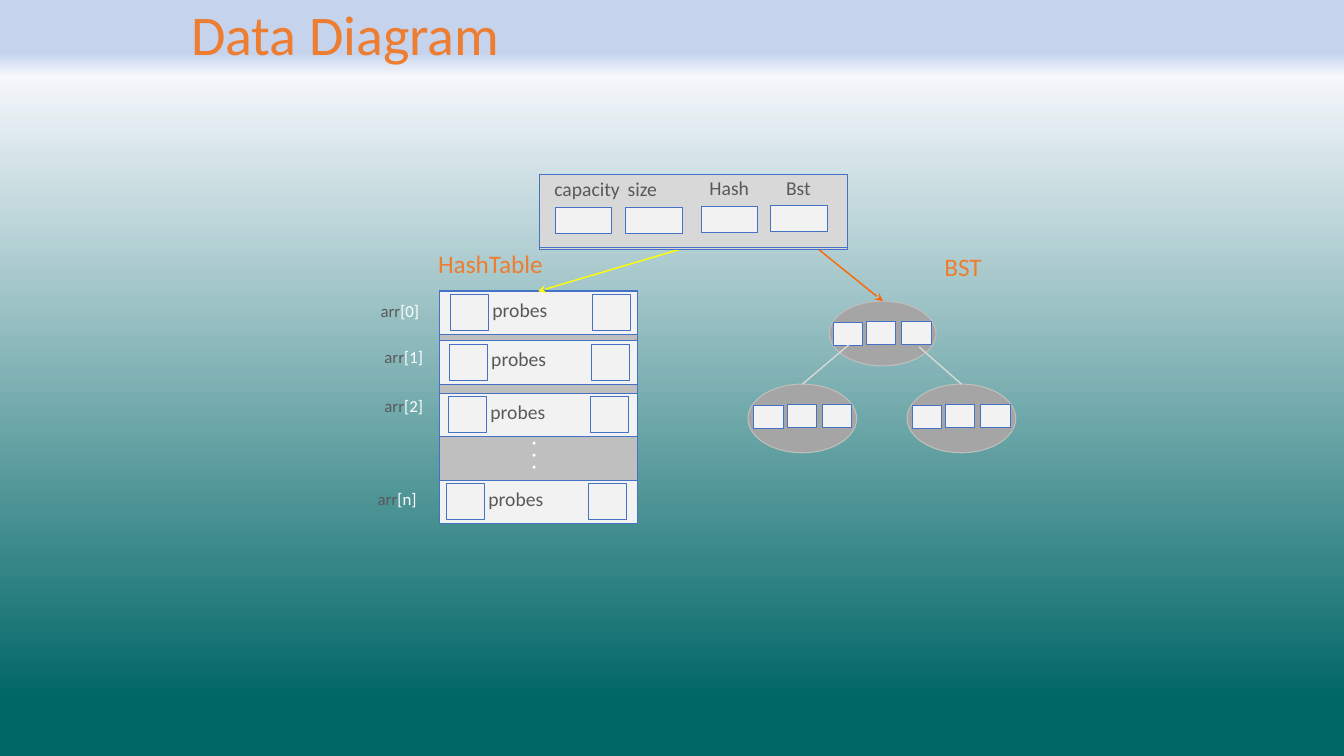
import pptx
import pptx.dml.color
import pptx.enum.shapes
import pptx.oxml
import pptx.oxml.ns
import pptx.util

Cm = pptx.util.Cm
qn = pptx.oxml.ns.qn
SHAPES = pptx.enum.shapes.MSO_SHAPE
DRAWING_NS = pptx.oxml.ns.nsdecls("a")

BLUE, ORANGE, WHITE = "4472C4", "ED7D31", "FFFFFF"
PALE, TEXT_GRAY, LIGHT_GRAY, MID_GRAY = "F2F2F2", "595959", "D8D8D8", "BFBFBF"
SHADOW = (
    f'<a:effectLst {DRAWING_NS}><a:outerShdw blurRad="38100" dist="38100" dir="2700000">'
    '<a:srgbClr val="000000"><a:alpha val="43000"/></a:srgbClr></a:outerShdw></a:effectLst>'
)


def color(hex_value):
    return pptx.dml.color.RGBColor.from_string(hex_value)


def apply_format(target, values):
    for name, value in values.items():
        setattr(target, name, value)


def add_box(slide, left, top, width, height, fill=PALE, line=BLUE, kind=SHAPES.RECTANGLE):
    shape = slide.shapes.add_shape(kind, Cm(left), Cm(top), Cm(width), Cm(height))
    shape.shadow.inherit = False
    shape.fill.solid()
    shape.fill.fore_color.rgb = color(fill)
    shape.line.color.rgb = color(line)
    shape.line.width = pptx.util.Pt(0.75)


def add_text(slide, left, top, width, height, size, *runs, shadow=False, rotation=0):
    """Each run is a pair of text and color."""
    shape = slide.shapes.add_textbox(Cm(left), Cm(top), Cm(width), Cm(height))
    shape.rotation = rotation
    apply_format(shape.text_frame, {
        "word_wrap": False,
        "margin_left": Cm(0.25), "margin_right": Cm(0.25),
        "margin_top": Cm(0.13), "margin_bottom": Cm(0.13),
    })
    paragraph = shape.text_frame.paragraphs[0]
    for text, text_color in runs:
        run = paragraph.add_run()
        run.text = text
        apply_format(run.font, {"name": "Calibri", "size": pptx.util.Pt(size)})
        run.font.color.rgb = color(text_color)
        if shadow:
            fill = run.font._element.find(qn("a:solidFill"))
            fill.addnext(pptx.oxml.parse_xml(SHADOW))


def add_line(slide, start, end, line_color, arrow=False):
    connector = slide.shapes.add_connector(
        pptx.enum.shapes.MSO_CONNECTOR.STRAIGHT, *(Cm(value) for value in (*start, *end)))
    connector.line.color.rgb = color(line_color)
    connector.line.width = pptx.util.Pt(1)
    if arrow:
        connector.line._get_or_add_ln().append(
            pptx.oxml.parse_xml(f'<a:tailEnd {DRAWING_NS} type="stealth"/>'))
    connector._element.spPr.append(pptx.oxml.parse_xml(f"<a:effectLst {DRAWING_NS}/>"))


def paint_background(slide):
    fill = slide.background.fill
    fill.gradient()
    fill.gradient_angle = 270
    stops = slide._element.find(".//" + qn("a:gsLst"))
    for stop in list(stops):
        stops.remove(stop)
    for percent, stop_color in ((0, "C5D3ED"), (7, "C5D3ED"), (10, "F5F7FC"),
                                (93, "006666"), (100, "006666")):
        stops.append(pptx.oxml.parse_xml(
            f'<a:gs {DRAWING_NS} pos="{percent * 1000}"><a:srgbClr val="{stop_color}"/></a:gs>'))


def draw_record(slide, left, top, width, height):
    # Second frame peeks out below the first
    for offset in (0.06, 0):
        add_box(slide, left, top + offset, width, height, LIGHT_GRAY)
    # Slot and label offsets for each field
    for name, slot_x, slot_y, label_x, label_y, label_width in (
            ("capacity", 0.41, 0.84, 0.13, -0.05, 2.18),
            ("size", 2.18, 0.84, 1.98, -0.05, 1.27),
            ("Hash", 4.09, 0.81, 4.04, -0.08, 1.52),
            ("Bst", 5.84, 0.79, 5.97, -0.08, 1.14)):
        add_box(slide, left + slot_x, top + slot_y, 1.42, 0.66)
        add_text(slide, left + label_x, top + label_y, label_width, 0.86, 14, (name, TEXT_GRAY))


def draw_hash_table(slide, left, top, width, height):
    add_text(slide, left - 0.28, top - 1.19, 3.18, 1.02, 18, ("HashTable", ORANGE), shadow=True)
    add_box(slide, left, top, width, height, MID_GRAY)
    # Row offset, cell inset, and index label offsets
    for index, row_y, inset, label_x, label_y in (
            ("[0]", 0.03, 0.28, -1.73, 0.1),
            ("[1]", 1.27, 0.25, -1.63, 0.03),
            ("[2]", 2.59, 0.23, -1.63, -0.08),
            ("[n]", 4.78, 0.18, -1.8, 0.08)):
        row_top = top + row_y
        add_box(slide, left, row_top, width, 1.09)
        for cell_x in (inset, inset + 3.58):
            add_box(slide, left + cell_x, row_top + 0.08, 0.97, 0.91)
        add_text(slide, left + inset + 0.81, row_top + 0.03, 1.9, 0.86, 14, ("probes", TEXT_GRAY))
        add_text(slide, left + label_x, row_top + label_y, 1.5, 0.76, 12,
                 ("arr", TEXT_GRAY), (index, WHITE))
    add_text(slide, left + 1.9, top + 3.73, 1.42, 1.02, 18, (". . .", WHITE), rotation=90)


def draw_node(slide, left, top, width, height, inset):
    add_box(slide, left, top, width, height, "A5A5A5", MID_GRAY, SHAPES.OVAL)
    for cell_x, cell_y in ((0.84, 0.52), (0, 0.54), (1.73, 0.52)):
        add_box(slide, left + inset + cell_x, top + cell_y, 0.74, 0.58)


def draw_tree(slide, left, top):
    add_text(slide, left + 4.7, top - 1.39, 1.47, 1.02, 18, ("BST", ORANGE), shadow=True)
    for x, y, width, height, inset in ((2.05, 0, 2.69, 1.63, 0.1),
                                       (0, 2.09, 2.74, 1.73, 0.15),
                                       (4.01, 2.09, 2.74, 1.73, 0.13)):
        draw_node(slide, left + x, top + y, width, height, inset)
    # Branches to the children
    for start_x, start_y, end_x in ((2.54, 1.1, 1.37), (4.31, 1.15, 5.38)):
        add_line(slide, (left + start_x, top + start_y), (left + end_x, top + 2.09), LIGHT_GRAY)


def main():
    presentation = pptx.Presentation()
    apply_format(presentation, {"slide_width": Cm(33.87), "slide_height": Cm(19.05)})
    slide = presentation.slides.add_slide(presentation.slide_layouts[6])
    paint_background(slide)
    add_text(slide, 4.57, -0.13, 8.43, 1.96, 40, ("Data Diagram", ORANGE), shadow=True)
    draw_hash_table(slide, 11.07, 7.32, 5, 5.84)
    draw_tree(slide, 18.85, 7.59)
    # Pointers from the record, which covers their starts
    add_line(slide, (18.36, 5.92), (13.56, 7.34), "FFFF00", arrow=True)
    add_line(slide, (20.14, 5.89), (22.25, 7.59), "FF6600", arrow=True)
    draw_record(slide, 13.59, 4.39, 7.77, 1.85)
    presentation.save("out.pptx")


if __name__ == "__main__":
    main()
